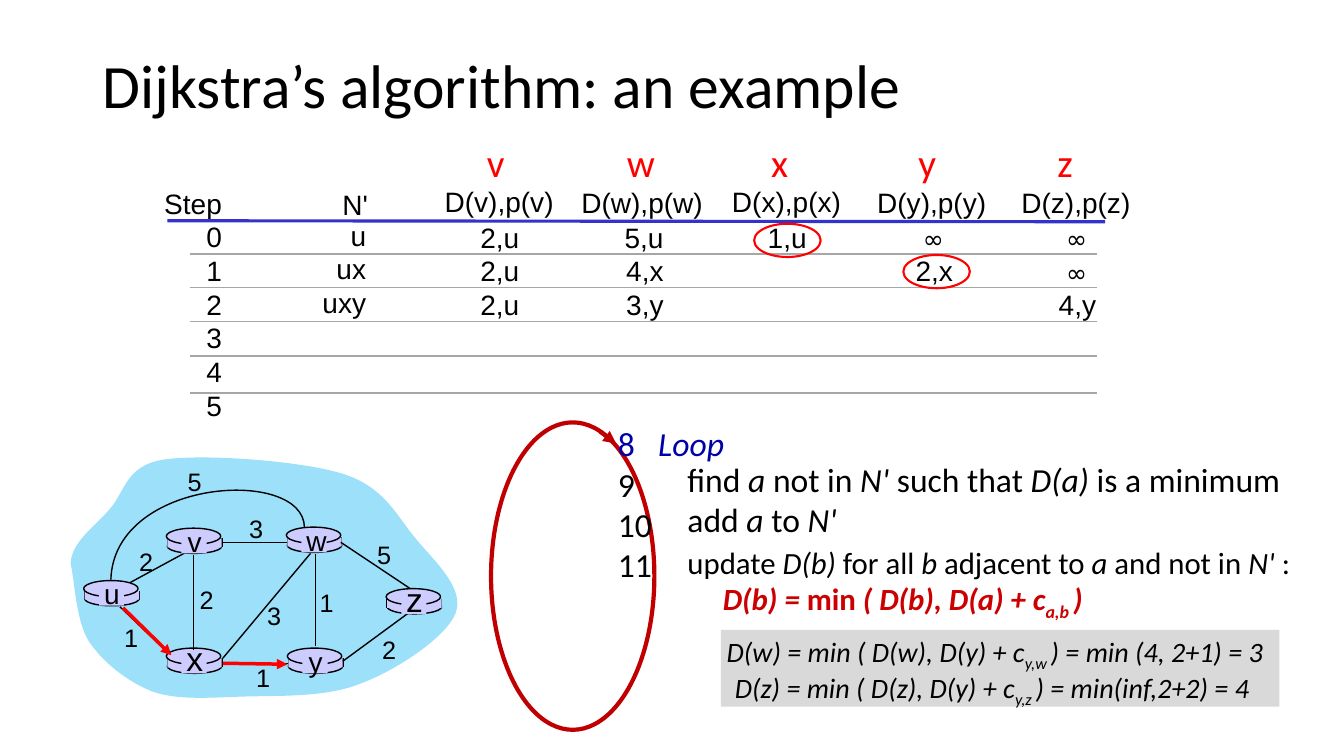
from dataclasses import dataclass

from lxml import etree
from pptx import Presentation, util as u
from pptx.dml.color import RGBColor
from pptx.enum import shapes, text
from pptx.oxml.ns import qn

LEFT, CENTER, RIGHT = text.PP_ALIGN.LEFT, text.PP_ALIGN.CENTER, text.PP_ALIGN.RIGHT
OVAL, RECT = shapes.MSO_SHAPE.OVAL, shapes.MSO_SHAPE.RECTANGLE


@dataclass(frozen=True)
class Theme:
    body: str = "Calibri"
    label: str = "Arial"
    symbol: str = "Comic Neue"
    title: int = 44
    column: int = 28
    code: int = 24
    update: int = 22
    cell: int = 20
    small: int = 18
    black: str = "000000"
    red: str = "FF0000"
    loop: str = "C00000"
    formula: str = "CC0000"
    keyword: str = "0000A8"
    header: str = "3333CC"
    row: str = "A6A6A6"
    cloud: str = "9CE0FA"
    router: str = "CCCCFF"
    panel: str = "D9D9D9"


class SlideBuilder:
    def __init__(self, slide, theme):
        self.slide, self.theme = slide, theme

    def style(self, item, fill=None, line=None, weight=1):
        item.shadow.inherit = False
        if fill:
            item.fill.solid()
            item.fill.fore_color.rgb = RGBColor.from_string(fill)
        else:
            item.fill.background()
        if line:
            item.line.color.rgb = RGBColor.from_string(line)
            item.line.width = u.Pt(weight)
        else:
            item.line.fill.background()

    def shape(self, kind, x, y, w, h, **look):
        self.style(self.slide.shapes.add_shape(kind, *map(u.Inches, (x, y, w, h))), **look)

    def line(self, start, end, color, weight=1, arrow=False):
        joint = self.slide.shapes.add_connector(
            shapes.MSO_CONNECTOR.STRAIGHT, *map(u.Inches, (*start, *end)))
        joint.line.color.rgb = RGBColor.from_string(color)
        joint.line.width = u.Pt(weight)
        if arrow:
            etree.SubElement(joint.line._get_or_add_ln(), qn("a:tailEnd"), type="triangle")
        etree.SubElement(joint._element.spPr, qn("a:effectLst"))

    def curve(self, box, start, segments, close=False, **look):
        """Draw cubic segments, each two control points and an end, inside the bounds of box."""
        builder = self.slide.shapes.build_freeform(*map(u.Inches, start))
        builder.add_line_segments([tuple(map(u.Inches, s[-1])) for s in segments], close=close)
        outline = builder.convert_to_shape()
        left, top, width, height = map(u.Inches, box)
        outline.left, outline.top, outline.width, outline.height = left, top, width, height
        route = next(outline._element.iter(qn("a:path")))
        route.set("w", str(width))
        route.set("h", str(height))

        def place(node, x, y):
            node.set("x", str(u.Inches(x) - left))
            node.set("y", str(u.Inches(y) - top))

        place(route.find(qn("a:moveTo"))[0], *start)
        for straight, segment in zip(route.findall(qn("a:lnTo")), segments):
            bend = etree.Element(qn("a:cubicBezTo"))
            for point in segment:
                place(etree.SubElement(bend, qn("a:pt")), *point)
            route.replace(straight, bend)
        self.style(outline, **look)

    def text(self, x, y, w, h, lines, size, face=None, color=None, align=LEFT, wrap=False):
        """Write lines in which *...* is italic and _..._ is subscript."""
        frame = self.slide.shapes.add_textbox(*map(u.Inches, (x, y, w, h))).text_frame
        frame.word_wrap = wrap
        for index, content in enumerate(lines):
            paragraph = frame.add_paragraph() if index else frame.paragraphs[0]
            paragraph.alignment = align
            font = paragraph.font
            font.size, font.name = u.Pt(size), face or self.theme.body
            font.color.rgb = RGBColor.from_string(color or self.theme.black)
            for i, part in enumerate(content.split("*")):
                for j, piece in enumerate(part.split("_")):
                    if not piece:
                        continue
                    run = paragraph.add_run()
                    run.text = piece
                    if i % 2:
                        run.font.italic = True
                    if j % 2:
                        run._r.get_or_add_rPr().set("baseline", "-25000")
        return frame

    def router(self, x, y):
        t = self.theme
        self.shape(OVAL, x + 0.01, y + 0.11, 0.54, 0.14, fill=t.router, line=t.black)
        for side in (x + 0.01, x + 0.55):
            self.line((side, y + 0.1), (side, y + 0.19), t.black)
        self.shape(RECT, x + 0.01, y + 0.1, 0.54, 0.09, fill=t.router)
        self.shape(OVAL, x, y, 0.54, 0.16, fill=t.router, line=t.black)

    def router_name(self, name, x, y, size):
        t = self.theme
        self.shape(RECT, x + 0.15, y + 0.02, 0.25, 0.23, fill=t.router)
        rise, height = (0.15, 0.5) if size == t.code else (0.09, 0.43)
        self.text(x + 0.1, y - rise, 0.36, height, [name], size, t.label, align=CENTER)


def draw_table(page):
    t = page.theme
    page.text(1.53, 1.8, 0.77, 2.43, ["Step", *map(str, range(6))], t.cell, t.label, align=RIGHT)
    centers = (4.95, 6.38, 7.8, 9.25, 10.67)
    page.line((1.66, 2.19), (10.96, 2.2), t.header, 2.25)
    for name, x, y, heading_x in zip("vwxyz", (4.3, 5.65, 7.15, 8.59, 10.02),
                                     (1.78, 1.79, 1.78, 1.79, 1.79),
                                     (4.73, 6.12, 7.55, 9.01, 10.39)):
        wide = name == "w"
        page.text(x, y, 1.42 if wide else 1.29, 0.44, [f"D({name}),p({name})"],
                  t.cell, t.label, align=RIGHT)
        page.text(heading_x, 1.32, 0.48 if wide else 0.37, 0.57, [name], t.column, color=t.red)
    for y in (2.52, 2.85, 3.19, 3.53, 3.9):
        page.line((1.88, y), (10.88, y), t.row)
    page.text(3.29, 1.81, 0.46, 0.44, ["N'"], t.cell, t.label, align=RIGHT)
    rows = ((2.14, 0.36, ("u", "2,u", "5,u", "1,u", "∞", "∞")),
            (2.47, 0.5, ("ux", "2,u", "4,x", "", "2,x", "∞")),
            (2.8, 0.64, ("uxy", "2,u", "3,y", "", "", "4,y")))
    for y, width, (visited, *costs) in rows:
        page.text(3.73 - width, y - 0.02, width, 0.44, [visited], t.cell, t.label, align=RIGHT)
        for center, cost in zip(centers, costs):
            if cost == "∞":
                page.text(center - 0.2, y + 0.03, 0.41, 0.4, [cost], t.small, t.symbol, align=RIGHT)
            elif cost:
                page.text(center - 0.29, y, 0.59, 0.44, [cost], t.cell, t.label, align=RIGHT)
    for x, y in ((7.48, 2.22), (8.96, 2.53)):
        page.shape(OVAL, x, y, 0.66, 0.33, line=t.red, weight=1.5)


def draw_network(page):
    t = page.theme
    page.curve((0.7, 4.5, 3.91, 2.45), (0.7, 5.59), (
        ((0.71, 5.38), (0.93, 5.23), (1.08, 5.06)), ((1.24, 4.89), (1.24, 4.62), (1.62, 4.56)),
        ((2.01, 4.5), (2.98, 4.57), (3.4, 4.7)), ((3.81, 4.83), (3.93, 5.11), (4.12, 5.34)),
        ((4.31, 5.57), (4.61, 5.83), (4.52, 6.08)), ((4.43, 6.32), (3.93, 6.65), (3.58, 6.78)),
        ((3.24, 6.92), (2.77, 6.9), (2.43, 6.91)), ((2.08, 6.92), (1.77, 6.95), (1.51, 6.86)),
        ((1.26, 6.76), (1.02, 6.57), (0.88, 6.36)), ((0.75, 6.15), (0.74, 5.75), (0.7, 5.59)),
    ), close=True, fill=t.cloud)
    page.line((1.29, 5.78), (1.88, 5.46), t.black)
    routers = (("u", 0.83, 5.76, t.cell), ("x", 1.65, 6.43, t.code), ("v", 1.65, 5.24, t.cell),
               ("w", 2.84, 5.23, t.cell), ("y", 2.85, 6.43, t.cell), ("z", 3.83, 5.84, t.code))
    for _, x, y, _ in routers:
        page.router(x, y)
    for start, end in (((3.13, 5.5), (3.13, 6.41)), ((1.92, 5.51), (1.92, 6.45)),
                       ((2.21, 6.53), (3.08, 5.49)), ((3.4, 6.56), (4.04, 6.09)),
                       ((2.86, 6.58), (2.22, 6.58)), ((1.67, 6.48), (1.19, 6.02)),
                       ((2.85, 5.38), (2.21, 5.38)), ((4.07, 5.84), (3.38, 5.38))):
        page.line(start, end, t.black)
    page.curve((1.1, 4.63, 1.93, 1.12), (3.02, 5.23),
               [((3.01, 4.63), (1.13, 4.74), (1.1, 5.75))], line=t.black)
    for router in routers:
        page.router_name(*router)
    for cost, x, y in (("2", 1.28, 5.37), ("2", 1.88, 5.75), ("1", 1.13, 6.12), ("3", 2.55, 5.91),
                       ("1", 2.44, 6.52), ("1", 3.07, 5.78), ("2", 3.69, 6.24), ("5", 3.64, 5.3),
                       ("3", 2.37, 5.04), ("5", 1.76, 4.58)):
        page.text(x, y, 0.34, 0.4, [cost], t.small, t.label, align=CENTER)
    page.line((1.22, 6.03), (1.7, 6.5), t.red, 2.5, arrow=True)
    page.line((2.21, 6.58), (2.85, 6.59), t.red, 2.5, arrow=True)


def draw_loop(page):
    t = page.theme
    page.shape(OVAL, 4.87, 4.19, 1.62, 3.05, line=t.loop, weight=3)
    page.line((5.95, 4.28), (6.11, 4.4), t.loop, 3, arrow=True)
    numbers = page.text(6.03, 4.15, 1.34, 1.71, ["8\t*Loop*", "9", "10", "11"], t.code, wrap=True)
    keyword = numbers.paragraphs[0]
    keyword.font.color.rgb = RGBColor.from_string(t.keyword)
    tabs = etree.Element(qn("a:tabLst"))
    etree.SubElement(tabs, qn("a:tab"), pos=str(u.Inches(0.4)), algn="l")
    keyword._p.get_or_add_pPr().insert(0, tabs)
    page.text(6.72, 4.5, 6.33, 0.91, ["find *a* not in *N' *such that *D(a) *is a minimum",
                                      "add *a* to *N'*"], t.code)
    update = page.text(6.72, 5.34, 6.31, 0.84, [
        "update *D(b) *for all *b* adjacent to *a* and not in *N' *:",
        "*D(b) = *min* ( D(b), D(a) + c_a,b _)*"], t.update)
    formula = update.paragraphs[1]
    formula.font.bold = True
    formula.font.color.rgb = RGBColor.from_string(t.formula)
    formula._p.get_or_add_pPr().set("marL", str(u.Inches(0.35)))
    page.shape(RECT, 7.15, 6.25, 5.54, 0.76, fill=t.panel)
    page.text(7.11, 6.25, 5.67, 0.44, ["*D(w) = min ( D(w), D(y) + c_y,w _) = min (4, 2+1) = 3*"], t.cell)
    page.text(7.19, 6.6, 5.52, 0.44, ["*D(z) = min ( D(z), D(y) + c_y,z _) = min(inf,2+2) = 4*"], t.cell)


def main():
    deck = Presentation()
    deck.slide_width, deck.slide_height = u.Inches(13.33), u.Inches(7.5)
    page = SlideBuilder(deck.slides.add_slide(deck.slide_layouts[6]), Theme())
    title = page.text(0.92, 0.39, 12.23, 0.98, ["Dijkstra’s algorithm: an example"],
                      page.theme.title, wrap=True)
    title.vertical_anchor = text.MSO_ANCHOR.MIDDLE
    title.paragraphs[0].line_spacing = 0.9
    draw_table(page)
    draw_loop(page)
    draw_network(page)
    deck.save("out.pptx")


if __name__ == "__main__":
    main()
